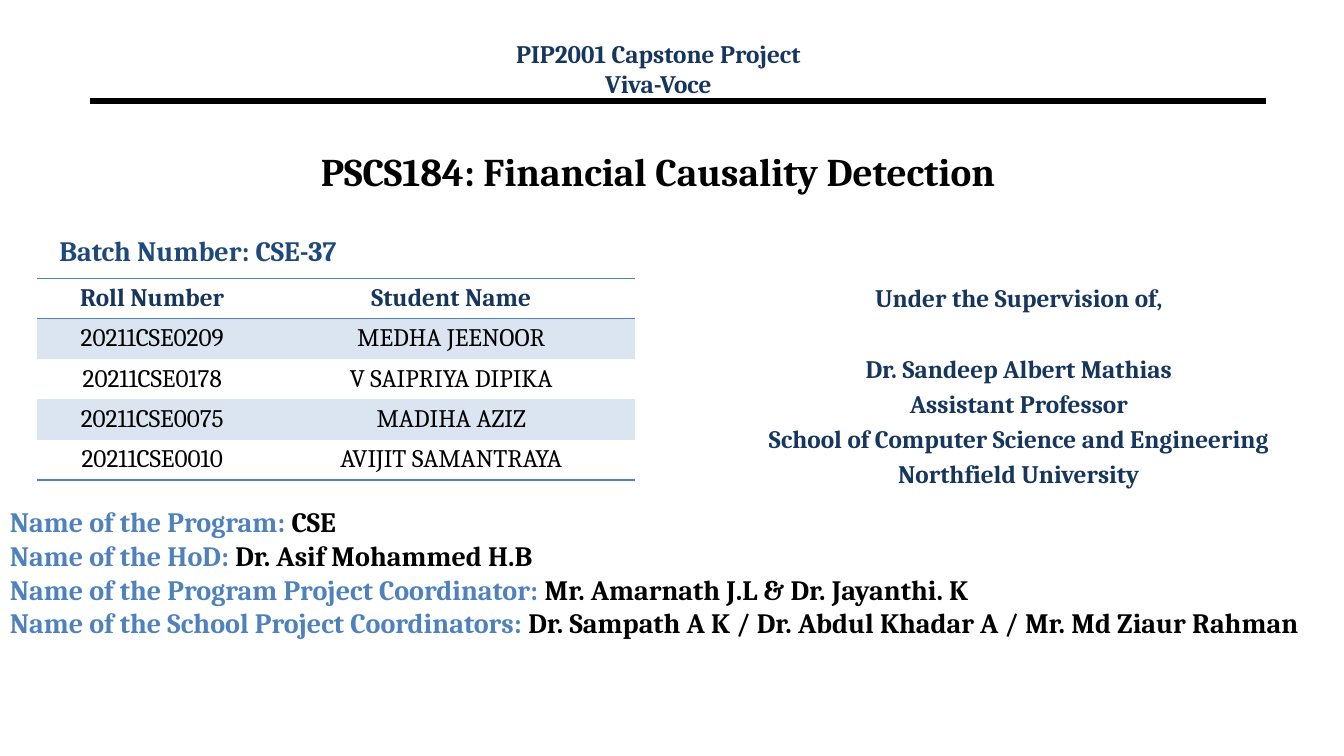
from pptx import Presentation
from pptx.dml.color import RGBColor
from pptx.enum.shapes import MSO_CONNECTOR
from pptx.enum.text import MSO_ANCHOR, PP_ALIGN
from pptx.oxml import parse_xml
from pptx.oxml.ns import nsdecls, qn
from pptx.util import Inches, Pt

FONT = "Cambria"
BLACK = RGBColor(0x00, 0x00, 0x00)
NAVY = RGBColor(0x17, 0x36, 0x5D)
DARK_BLUE = RGBColor(0x1F, 0x49, 0x7D)
BLUE = RGBColor(0x4F, 0x81, 0xBD)
PALE_BLUE = RGBColor(0xDB, 0xE5, 0xF1)
NO_TABLE_STYLE = "{2D5ABB26-0587-4C30-8999-92F81FD0307C}"

STUDENTS = [
    ("Roll Number", "Student Name"),
    ("20211CSE0209", "MEDHA JEENOOR"),
    ("20211CSE0178", "V SAIPRIYA DIPIKA"),
    ("20211CSE0075", "MADIHA AZIZ"),
    ("20211CSE0010", "AVIJIT SAMANTRAYA"),
]
# Each line with the space before it, in points
SUPERVISION = [
    ("Under the Supervision of,", 0),
    ("Dr. Sandeep Albert Mathias", 29.4),
    ("Assistant Professor", 3.4),
    ("School of Computer Science and Engineering", 3.4),
    ("Northfield University", 3.4),
]
STAFF = [
    ("Name of the Program: ", "CSE"),
    ("Name of the HoD: ", "Dr. Asif Mohammed H.B"),
    ("Name of the Program Project Coordinator: ", "Mr. Amarnath J.L & Dr. Jayanthi. K"),
    ("Name of the School Project Coordinators: ",
     "Dr. Sampath A K / Dr. Abdul Khadar A / Mr. Md Ziaur Rahman"),
]


def format_para(para, size, color=None, bold=True, align=PP_ALIGN.LEFT, before=0):
    para.alignment = align
    para.space_before = Pt(before)
    para.font.name = FONT
    para.font.size = Pt(size)
    para.font.bold = bold
    if color is not None:
        para.font.color.rgb = color


def add_text(page, left, top, width, height, lines, size, color=None, align=PP_ALIGN.LEFT):
    """Each line is a list of (text, colour) spans and its space before."""
    box = page.shapes.add_textbox(Inches(left), Inches(top), Inches(width), Inches(height))
    frame = box.text_frame
    frame.word_wrap = True
    for index, (spans, before) in enumerate(lines):
        para = frame.paragraphs[0] if index == 0 else frame.add_paragraph()
        format_para(para, size, color, align=align, before=before)
        for text, span_color in spans:
            span = para.add_run()
            span.text = text
            if span_color is not None:
                span.font.color.rgb = span_color


def plain(text, before=0):
    return [(text, None)], before


def add_rule(page, left, right, top):
    rule = page.shapes.add_connector(
        MSO_CONNECTOR.STRAIGHT, Inches(left), Inches(top), Inches(right), Inches(top))
    rule.line.color.rgb = BLACK
    rule.line.width = Pt(4.5)
    rule._element.spPr.append(parse_xml(f"<a:effectLst {nsdecls('a')}/>"))


def add_border(cell, side):
    cell._tc.get_or_add_tcPr().append(parse_xml(
        f'<a:{side} {nsdecls("a")} w="{Pt(1)}"><a:solidFill>'
        f'<a:srgbClr val="{BLUE}"/></a:solidFill></a:{side}>'))


def add_student_table(page):
    last = len(STUDENTS) - 1
    row_height = 0.39
    frame = page.shapes.add_table(
        len(STUDENTS), 2, Inches(0.37), Inches(2.76),
        Inches(5.93), Inches(row_height * len(STUDENTS)))
    table = frame.table
    table._tbl.tblPr.find(qn("a:tableStyleId")).text = NO_TABLE_STYLE
    table.first_row = table.horz_banding = False
    for column, width in zip(table.columns, (2.28, 3.65)):
        column.width = Inches(width)
    for row, values in enumerate(STUDENTS):
        header = row == 0
        for col, value in enumerate(values):
            cell = table.cell(row, col)
            cell.text = value
            cell.vertical_anchor = MSO_ANCHOR.MIDDLE
            format_para(cell.text_frame.paragraphs[0], 18,
                        NAVY if header else BLACK, header, PP_ALIGN.CENTER)
            # Borders come before the fill in the cell properties
            if header:
                add_border(cell, "lnT")
            if header or row == last:
                add_border(cell, "lnB")
            if row % 2:
                cell.fill.solid()
                cell.fill.fore_color.rgb = PALE_BLUE
            else:
                cell.fill.background()


def set_title(page, text):
    title = page.shapes.title
    title.left, title.top = Inches(0.86), Inches(1.17)
    title.width, title.height = Inches(11.33), Inches(1.05)
    title.text_frame.text = text
    title.text_frame.vertical_anchor = MSO_ANCHOR.MIDDLE
    format_para(title.text_frame.paragraphs[0], 28, BLACK, align=PP_ALIGN.CENTER)


def main():
    deck = Presentation()
    deck.slide_width, deck.slide_height = Inches(13.33), Inches(7.5)
    page = deck.slides.add_slide(deck.slide_layouts[5])

    # Header and title
    add_rule(page, 0.89, 12.56, 1)
    set_title(page, "PSCS184: Financial Causality Detection")
    add_text(page, 4.36, 0.33, 4.34, 0.6,
             [plain("PIP2001 Capstone Project"), plain("Viva-Voce")],
             18, NAVY, PP_ALIGN.CENTER)

    # Supervisor
    add_text(page, 7.09, 2.75, 6.03, 2.21,
             [plain(text, before) for text, before in SUPERVISION],
             18, NAVY, PP_ALIGN.CENTER)

    # Programme staff
    add_text(page, 0, 4.96, 13.33, 1.71,
             [([(label, BLUE), (name, BLACK)], 0) for label, name in STAFF], 20)

    # Student batch
    add_student_table(page)
    add_text(page, 0.49, 2.27, 3.87, 0.44, [plain("Batch Number: CSE-37")], 20, DARK_BLUE)

    deck.save("out.pptx")


if __name__ == "__main__":
    main()
